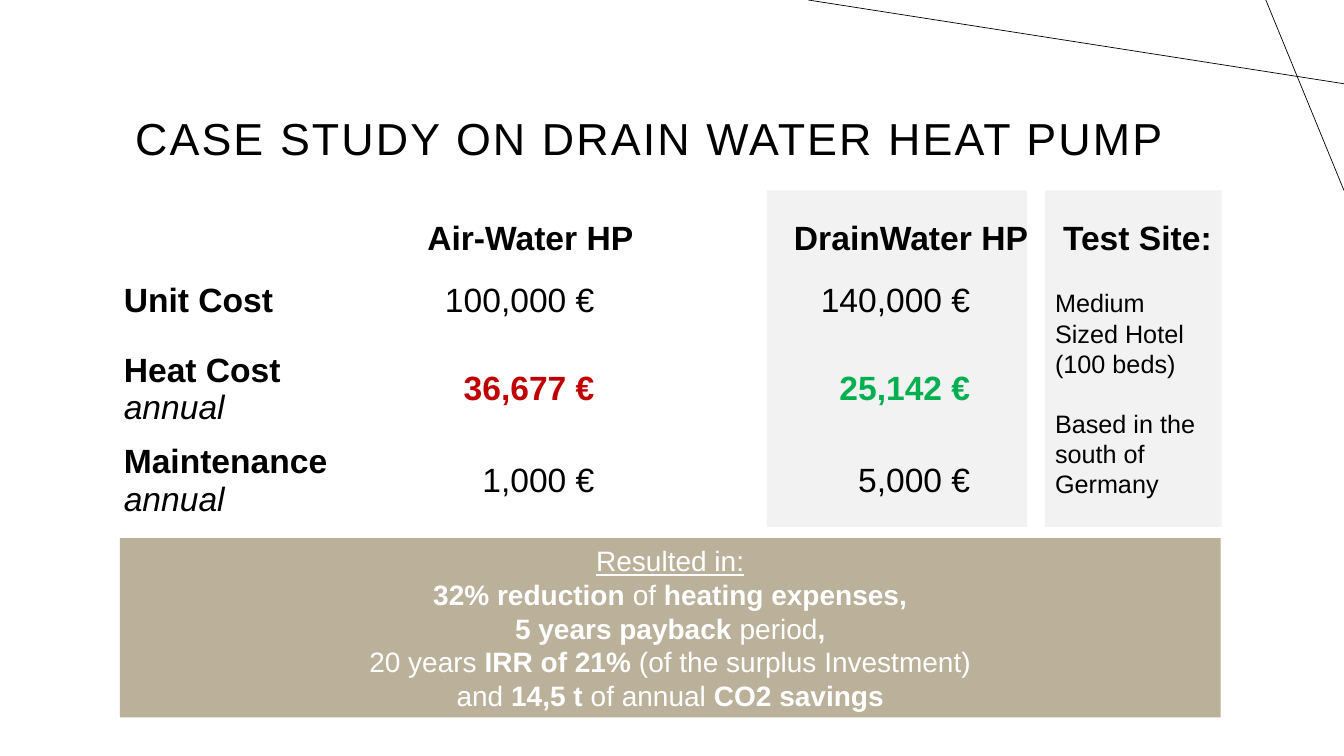
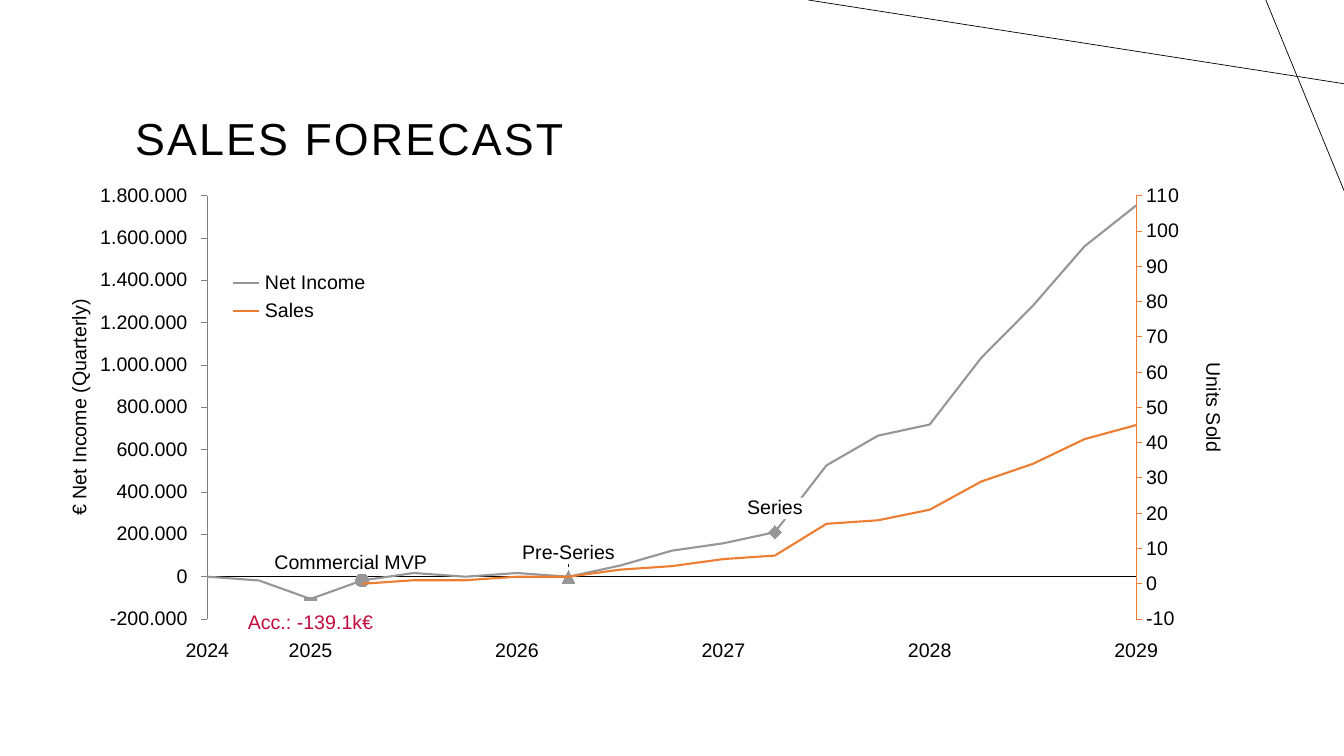
import copy

from lxml import etree
from pptx import Presentation
from pptx import util as u
from pptx.chart import axis as ax
from pptx.chart import data as cd
from pptx.dml import color as dml
from pptx.enum import chart as ch, shapes as sh, text as tx
from pptx.oxml import ns

FONT = "Arial"
BLACK, WHITE, PALE, SAND = "000000", "FFFFFF", "F2F2F2", "BBB19B"
RED, GREEN, CRIMSON = "C00000", "00B050", "C30C3E"
GREY, ORANGE, AXIS_GREY = "969696", "ED7D31", "808080"
LEFT, CENTER, RIGHT = tx.PP_ALIGN.LEFT, tx.PP_ALIGN.CENTER, tx.PP_ALIGN.RIGHT
NO_STYLE = "{2D5ABB26-0587-4C30-8999-92F81FD0307C}"


def rgb(hex_color):
    return dml.RGBColor.from_string(hex_color)


def cm(*lengths):
    return [u.Cm(length) for length in lengths]


# Shared text and shape helpers
def style(paragraph, size, color=BLACK, align=LEFT, bold=None):
    paragraph.alignment = align
    font = paragraph.font
    font.name, font.size, font.bold = FONT, u.Pt(size), bold
    font.color.rgb = rgb(color)


def write(paragraph, runs):
    """Add (text, flags) runs; flags are letters out of b, i, u; a newline breaks the line."""
    for content, flags in runs:
        for number, part in enumerate(content.split("\n")):
            if number:
                paragraph.add_line_break()
            if part:
                run = paragraph.add_run()
                run.text = part
                for flag, name in (("b", "bold"), ("i", "italic"), ("u", "underline")):
                    if flag in flags:
                        setattr(run.font, name, True)


def panel(slide, box, color):
    rect = slide.shapes.add_shape(sh.MSO_SHAPE.RECTANGLE, *cm(*box))
    rect.shadow.inherit = False
    rect.fill.solid()
    rect.fill.fore_color.rgb = rgb(color)
    rect.line.fill.background()
    return rect


def rule(slide, ends, color=BLACK, width=0.5):
    line = slide.shapes.add_connector(sh.MSO_CONNECTOR.STRAIGHT, *cm(*ends))
    line.line.color.rgb = rgb(color)
    line.line.width = u.Pt(width)
    etree.SubElement(line._element.spPr, ns.qn("a:effectLst"))
    return line


def label(slide, content, center, size, align=CENTER, color=BLACK, vert=None, fill=None):
    """A 14 pt chart label without insets, placed by its centre."""
    (x, y), (width, height) = center, size
    box = slide.shapes.add_textbox(*cm(x - width / 2, y - height / 2, width, height))
    if fill:
        box.fill.solid()
        box.fill.fore_color.rgb = rgb(fill)
    frame = box.text_frame
    frame.word_wrap = True
    frame.vertical_anchor = tx.MSO_ANCHOR.MIDDLE
    frame.margin_left = frame.margin_right = frame.margin_top = frame.margin_bottom = 0
    if vert:
        frame._txBody.bodyPr.set("vert", vert)
    frame.text = content
    frame.paragraphs[0].line_spacing = 0.9
    style(frame.paragraphs[0], 14, color, align)


# Layout: title place and the two crossing lines
def prepare_layout(prs):
    layout = prs.slide_layouts[5]
    title = layout.placeholders[0]
    title.left, title.top, title.width, title.height = cm(3.15, 2.18, 27.51, 2.74)
    title.text_frame.vertical_anchor = tx.MSO_ANCHOR.MIDDLE
    return layout


def add_layout_lines(layout, slide):
    for ends in ((33.87, 2.11, 20.37, 0), (31.9, 0, 33.87, 4.8)):
        layout.shapes.element.append(rule(slide, ends)._element)


def new_slide(prs, layout, heading):
    slide = prs.slides.add_slide(layout)
    frame = slide.shapes.title.text_frame
    frame.text = heading
    paragraph = frame.paragraphs[0]
    paragraph.line_spacing = 0.9
    style(paragraph, 32)
    paragraph.runs[0]._r.get_or_add_rPr().set("spc", "150")
    return slide


# Case study regions
COSTS = [
    ([[("Unit Cost", "b")]], ("100,000 €", BLACK), ("140,000 €", BLACK)),
    ([[("Heat Cost", "b")], [("annual", "i")]], ("36,677 €", RED), ("25,142 €", GREEN)),
    ([[("Maintenance ", "b"), ("annual", "i")]], ("1,000 €", BLACK), ("5,000 €", BLACK)),
]
RESULTS = [
    ("Resulted in:\n", "u"), ("32% reduction ", "b"), ("of ", ""),
    ("heating expenses,\n5 years payback ", "b"), ("period", ""), (",\n", "b"),
    ("20 years ", ""), ("IRR of 21% ", "b"), ("(of the surplus Investment)\nand", ""),
    (" 14,5 t ", "b"), ("of annual", ""), (" CO2 savings", "b"),
]


def add_cost_table(slide, left, top):
    widths, heights = (5.66, 6.4, 9.47), (2.18, 2.29, 2.34)
    frame = slide.shapes.add_table(3, 3, *cm(left, top, sum(widths), sum(heights)))
    table = frame.table
    table.first_row = table.horz_banding = False
    table._tbl.tblPr.find(ns.qn("a:tableStyleId")).text = NO_STYLE
    for column, width in zip(table.columns, widths):
        column.width = u.Cm(width)
    for row, height, (heading, *amounts) in zip(table.rows, heights, COSTS):
        row.height = u.Cm(height)
        for cell in row.cells:
            cell.fill.background()
            cell.vertical_anchor = tx.MSO_ANCHOR.MIDDLE
            cell.margin_left = cell.margin_right = u.Cm(0.1)
        name_cell, *amount_cells = row.cells
        name_frame = name_cell.text_frame
        for number, runs in enumerate(heading):
            paragraph = name_frame.add_paragraph() if number else name_frame.paragraphs[0]
            style(paragraph, 24)
            write(paragraph, runs)
        for cell, (amount, color) in zip(amount_cells, amounts):
            cell.text = amount
            style(cell.text_frame.paragraphs[0], 24, color, RIGHT, color != BLACK)


def add_column_heading(slide, content, left, top):
    box = slide.shapes.add_textbox(*cm(left, top, 6.55, 1.27))
    box.text_frame.word_wrap = True
    box.text_frame.text = content
    style(box.text_frame.paragraphs[0], 24, bold=True)


def add_test_site(slide, box):
    frame = panel(slide, box, PALE).text_frame
    frame.vertical_anchor = tx.MSO_ANCHOR.TOP
    frame.margin_top = u.Cm(2.45)
    frame.text = "Medium Sized Hotel\v(100 beds)\nBased in the south of Germany"
    for paragraph in frame.paragraphs:
        style(paragraph, 18)
    frame.paragraphs[1].space_before = u.Pt(21)


def add_results(slide, box):
    paragraph = panel(slide, box, SAND).text_frame.paragraphs[0]
    style(paragraph, 20, WHITE, CENTER)
    write(paragraph, RESULTS)


def fill_case_study(slide):
    left, top, height = 3.02, 4.8, 8.48
    panel(slide, (19.33, top, 6.55, height), PALE)
    add_test_site(slide, (26.34, top, 4.45, height))
    add_results(slide, (left, 13.56, 27.74, 4.52))
    add_cost_table(slide, left, 6.48)
    for content, x in (("Air-Water HP", 10.52), ("DrainWater HP", 19.76), ("Test Site:", 26.54)):
        add_column_heading(slide, content, x, top + 0.53)


# Sales forecast regions
NET_INCOME = [0, -1, -6, -1, 1, 0, 1, 0, 3, 7, 9, 12, 30, 38, 41, 59, 73, 89, 100]
SALES = [None, None, None, 0, 1, 1, 2, 2, 4, 5, 7, 8, 17, 18, 21, 29, 34, 41, 45]
MILESTONES = {2: ch.XL_MARKER_STYLE.DASH, 3: ch.XL_MARKER_STYLE.CIRCLE,
              7: ch.XL_MARKER_STYLE.TRIANGLE, 11: ch.XL_MARKER_STYLE.DIAMOND}
PLOT_SHARE = {"x": 0.009, "y": 0.048, "w": 0.927, "h": 0.903}


def set_scale(axis, low, high, step, color):
    axis.minimum_scale, axis.maximum_scale, axis.major_unit = low, high, step
    axis.has_major_gridlines = False
    axis.major_tick_mark = ch.XL_TICK_MARK.OUTSIDE
    axis.format.line.color.rgb = rgb(color)
    axis.format.line.width = u.Pt(0.75)
    font = axis.tick_labels.font
    font.name, font.size = FONT, u.Pt(14)
    font.color.rgb = rgb(BLACK)


def set_plot_layout(area):
    for old in area.findall(ns.qn("c:layout")):
        area.remove(old)
    layout = etree.Element(ns.qn("c:layout"))
    manual = etree.SubElement(layout, ns.qn("c:manualLayout"))
    settings = {"layoutTarget": "inner", "xMode": "edge", "yMode": "edge", **PLOT_SHARE}
    for tag, value in settings.items():
        etree.SubElement(manual, ns.qn("c:" + tag)).set("val", str(value))
    area.insert(0, layout)


def add_right_axis(area):
    """Move the second series to its own line plot with an axis on the right."""
    line, cat, val = (area.find(ns.qn("c:" + tag)) for tag in ("lineChart", "catAx", "valAx"))
    ids = {cat.find(ns.qn("c:axId")).get("val"): "101", val.find(ns.qn("c:axId")).get("val"): "102"}
    right_line, right_cat, right_val = (copy.deepcopy(part) for part in (line, cat, val))
    for part in (right_line, right_cat, right_val):
        for node in part.iter(ns.qn("c:axId"), ns.qn("c:crossAx")):
            node.set("val", ids[node.get("val")])
    line.remove(line.findall(ns.qn("c:ser"))[1])
    right_line.remove(right_line.find(ns.qn("c:ser")))
    line.addnext(right_line)
    val.addnext(right_val)
    right_val.addnext(right_cat)
    right_cat.find(ns.qn("c:delete")).set("val", "1")
    right_val.find(ns.qn("c:axPos")).set("val", "r")
    right_val.find(ns.qn("c:crosses")).set("val", "max")
    return ax.ValueAxis(right_val)


def add_forecast_chart(slide, box):
    data = cd.CategoryChartData()
    data.categories = [str(quarter) for quarter in range(1, 20)]
    data.add_series("Series 1", NET_INCOME)
    data.add_series("Series 2", SALES)
    chart = slide.shapes.add_chart(ch.XL_CHART_TYPE.LINE, *cm(*box), data).chart
    chart.has_legend = chart.has_title = False
    chart.font.name, chart.font.size = FONT, u.Pt(10)
    chart.font.color.rgb = rgb(BLACK)
    plot = chart.plots[0]
    plot.vary_by_categories = False
    for series, color in zip(plot.series, (GREY, ORANGE)):
        series.smooth = False
        series.marker.style = ch.XL_MARKER_STYLE.NONE
        series.format.line.color.rgb = rgb(color)
        series.format.line.width = u.Pt(1.5)
    for index, shape in MILESTONES.items():
        point = plot.series[0].points[index]
        point.format.line.color.rgb = rgb(GREY)
        point.format.line.width = u.Pt(1.5)
        point.marker.style, point.marker.size = shape, 9
        point.marker.format.fill.solid()
        point.marker.format.fill.fore_color.rgb = rgb(GREY)
        point.marker.format.line.color.rgb = rgb(GREY)

    # Axes
    quarters, income = chart.category_axis, chart.value_axis
    quarters.tick_label_position = ch.XL_TICK_LABEL_POSITION.NONE
    quarters.major_tick_mark = ch.XL_TICK_MARK.NONE
    quarters.format.line.color.rgb = rgb(BLACK)
    quarters.format.line.width = u.Pt(0.75)
    set_scale(income, -11.4, 102.6, 11.4, AXIS_GREY)
    area = chart.element.find(".//" + ns.qn("c:plotArea"))
    val = area.find(ns.qn("c:valAx"))
    for old in val.findall(ns.qn("c:crossBetween")):
        val.remove(old)
    between = etree.Element(ns.qn("c:crossBetween"))
    between.set("val", "midCat")
    val.find(ns.qn("c:crosses")).addnext(between)
    set_plot_layout(area)
    units = add_right_axis(area)
    set_scale(units, -10, 110, 10, ORANGE)
    units.tick_labels.number_format = '#,##0;"-"#,##0'
    units.tick_labels.number_format_is_linked = False
    income.tick_label_position = ch.XL_TICK_LABEL_POSITION.NONE


def add_chart_labels(slide, box):
    left, top, width, height = box
    x, y = left + PLOT_SHARE["x"] * width, top + PLOT_SHARE["y"] * height
    w, h = PLOT_SHARE["w"] * width, PLOT_SHARE["h"] * height
    bottom, quarter = y + h, w / 18
    # Axis labels and titles
    for step in range(11):
        amount = f"{(step - 1) * 200000:,}".replace(",", ".")
        label(slide, amount, (x - 1.7, bottom - step * h / 10), (2.4, 0.54), RIGHT)
    for year, index in zip(range(2024, 2030), (0, 2, 6, 10, 14, 18)):
        label(slide, str(year), (x + index * quarter, bottom + 0.8), (1.5, 0.54))
    label(slide, "€ Net Income (Quarterly)", (x - 3.21, y + h / 2), (0.54, 6), vert="vert270")
    label(slide, "Units Sold", (x + w + 1.93, y + h / 2), (0.54, 3), vert="vert")
    # Milestones
    for content, index, rise, size, color, fill in (
            ("Acc.: -139.1k€", 2, -0.11, 3.6, CRIMSON, None),
            ("Commercial MVP", 2.78, 1.41, 4.2, BLACK, None),
            ("Pre-Series", 7, 1.67, 2.6, BLACK, None),
            ("Series", 11, 2.79, 1.5, BLACK, WHITE)):
        label(slide, content, (x + index * quarter, bottom - rise), (size, 0.54), color=color, fill=fill)
    pre_series = x + 7 * quarter
    rule(slide, (pre_series, bottom - 1.4, pre_series, bottom - 1.32))
    # Legend
    for row, (content, color) in enumerate((("Net Income", GREY), ("Sales", ORANGE))):
        level = y + 2.2 + row * 0.71
        rule(slide, (x + 0.64, level, x + 1.3, level), color, 1.5)
        label(slide, content, (x + 2.95, level), (3, 0.54), LEFT)


def main():
    prs = Presentation()
    prs.slide_width, prs.slide_height = cm(33.87, 19.05)
    layout = prepare_layout(prs)
    case_study = new_slide(prs, layout, "CASE STUDY ON DRAIN WATER HEAT PUMP")
    add_layout_lines(layout, case_study)
    fill_case_study(case_study)
    forecast = new_slide(prs, layout, "SALES FORECAST")
    chart_box = (5, 4.37, 25.25, 11.81)
    add_forecast_chart(forecast, chart_box)
    add_chart_labels(forecast, chart_box)
    prs.save("out.pptx")


if __name__ == "__main__":
    main()
